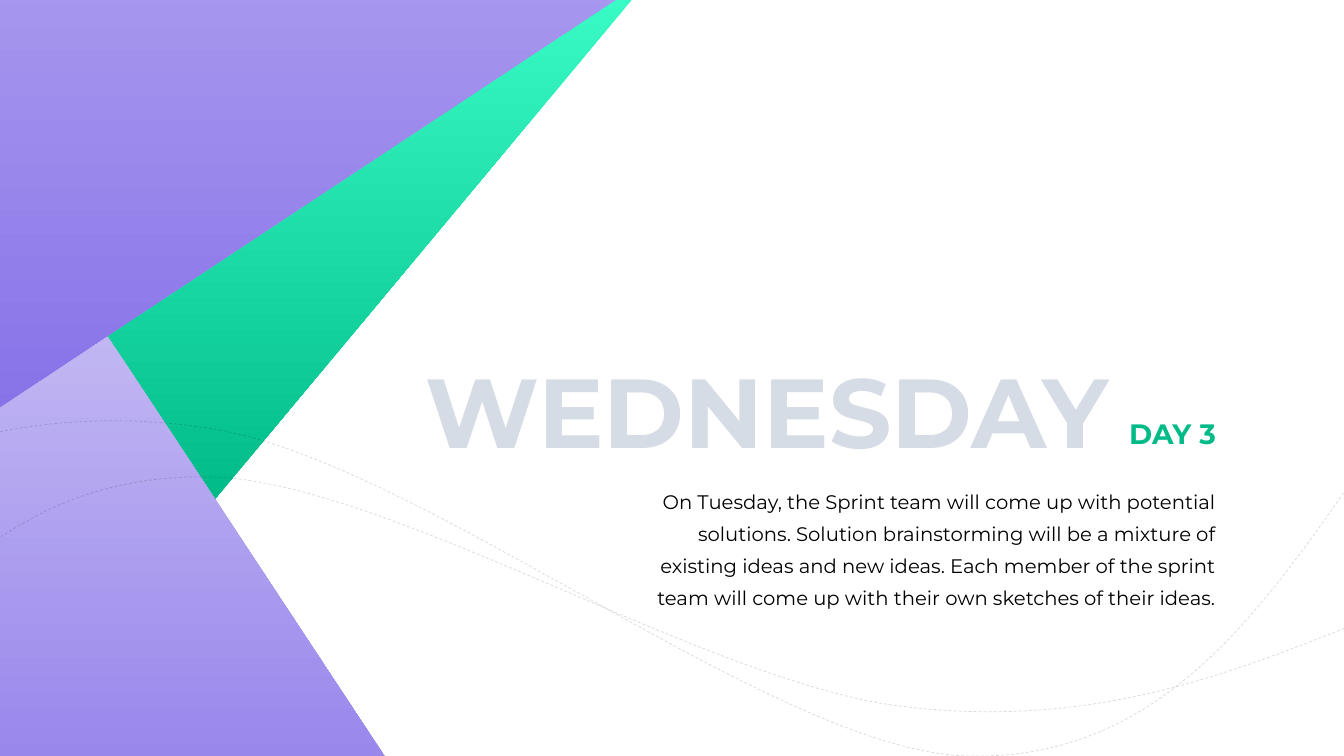
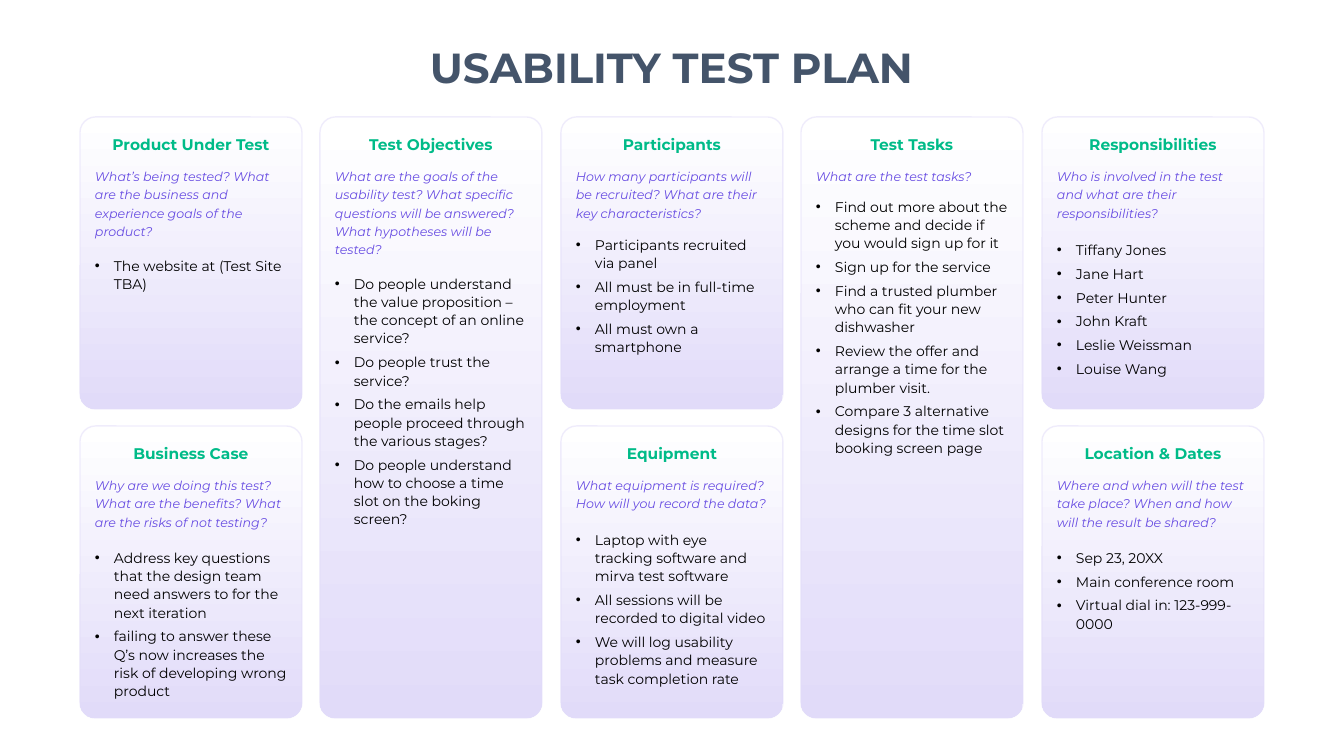
from lxml.etree import SubElement
from pptx import Presentation
from pptx.dml.color import RGBColor
from pptx.enum.dml import MSO_LINE_DASH_STYLE as Dash
from pptx.enum.shapes import MSO_SHAPE as Shape
from pptx.enum.text import MSO_ANCHOR as Anchor, MSO_AUTO_SIZE as AutoSize, PP_ALIGN as Align
from pptx.oxml.ns import qn
from pptx.util import Emu, Pt

SCALE = 914400 / 100.8
FONT = "Montserrat"
C = {
    "green": "00BB88", "mint": "3DFFCA", "purple": "674CE2", "lilac": "C2B7F3",
    "pale": "E1DBF9", "white": "FFFFFF", "black": "000000", "slate": "44546A",
    "mist": "D6DCE5",
}

COL_X, ROW_Y = 80, 117
CARD_W, CARD_H, ROW_PITCH = 222, 292, 309
TALL_H = CARD_H + ROW_PITCH

CARDS = [
    (0, 0, CARD_H, "Product Under Test",
     "What’s being tested? What are the business and experience goals of the product?",
     134, ["The website at (Test Site TBA)"]),
    (0, 1, CARD_H, "Business Case",
     "Why are we doing this test? What are the benefits? What are the risks of not testing?",
     117, ["Address key questions that the design team need answers to for the next iteration",
           "failing to answer these Q’s now increases the risk of developing wrong product"]),
    (1, 0, TALL_H, "Test Objectives",
     "What are the goals of the usability test? What specific questions will be answered? "
     "What hypotheses will be tested?",
     152, ["Do people understand the value proposition – the concept of an online service?",
           "Do people trust the service?",
           "Do the emails help people proceed through the various stages?",
           "Do people understand how to choose a time slot on the boking screen?"]),
    (2, 0, CARD_H, "Participants",
     "How many participants will be recruited? What are their key characteristics?",
     113, ["Participants recruited via panel", "All must be in full-time employment",
           "All must own a smartphone"]),
    (2, 1, CARD_H, "Equipment",
     "What equipment is required? How will you record the data?",
     99, ["Laptop with eye tracking software and mirva test software",
          "All sessions will be recorded to digital video",
          "We will log usability problems and measure task completion rate"]),
    (3, 0, TALL_H, "Test Tasks", "What are the test tasks?",
     75, ["Find out more about the scheme and decide if you would sign up for it",
          "Sign up for the service",
          "Find a trusted plumber who can fit your new dishwasher",
          "Review the offer and arrange a time for the plumber visit.",
          "Compare 3 alternative designs for the time slot booking screen page"]),
    (4, 0, CARD_H, "Responsibilities",
     "Who is involved in the test and what are their responsibilities?",
     118, ["Tiffany Jones", "Jane Hart", "Peter Hunter", "John Kraft",
           "Leslie Weissman", "Louise Wang"]),
    (4, 1, CARD_H, "Location & Dates",
     "Where and when will the test take place? When and how will the result be shared?",
     117, ["Sep 23, 20XX", "Main conference room", "Virtual dial in: 123-999-0000"]),
]

FACETS = [
    (Shape.RIGHT_TRIANGLE, (334, -107, 205, 681), 56.6, "mint", "green"),
    (Shape.RECTANGLE, (-329, 455, 663, 681), 56.6, "lilac", "purple"),
    (Shape.RIGHT_TRIANGLE, (-61, -844, 646, 2155), 73.2, "lilac", "purple"),
]

WAVES = [
    [(1363, 621), (1227, 675), (1091, 730), (899, 706), (707, 682), (386, 481),
     (211, 477), (35, 473), (-58, 577), (-152, 680)],
    [(-296, 550), (-147, 473), (2, 395), (213, 429), (423, 463), (774, 750),
     (966, 756), (1158, 762), (1260, 614), (1363, 465)],
]


def px(n):
    return Emu(round(n * SCALE))


def rgb(name):
    return RGBColor.from_string(C[name])


def gradient(fill, start, end, angle=270):
    fill.gradient()
    fill.gradient_angle = angle
    for stop, name, pos in zip(fill.gradient_stops, (start, end), (0, 1)):
        stop.color.rgb = rgb(name)
        stop.position = pos


def set_line(sp, name, width, opacity):
    sp.line.color.rgb = rgb(name)
    sp.line.width = Pt(width)
    color = sp.line._get_or_add_ln().find(".//" + qn("a:srgbClr"))
    SubElement(color, qn("a:alpha")).set("val", str(opacity * 1000))


def add_bullet(p, indent):
    pPr = p._p.get_or_add_pPr()
    pPr.set("marL", str(px(indent)))
    pPr.set("indent", str(-px(indent)))
    SubElement(pPr, qn("a:buFont")).set("typeface", "Arial")
    SubElement(pPr, qn("a:buChar")).set("char", "•")


def write(sp, paras, size, color, bold=False, italic=False, align=Align.LEFT,
          leading=None, after=0, bullet=0, inset=10, wrap=True, fade=None):
    tf = sp.text_frame
    tf.word_wrap = wrap
    tf.auto_size = AutoSize.NONE
    tf.vertical_anchor = Anchor.TOP
    tf.margin_left = tf.margin_right = px(inset)
    tf.margin_top = tf.margin_bottom = px(5)
    for i, text in enumerate(paras):
        p = tf.add_paragraph() if i else tf.paragraphs[0]
        p.alignment = align
        p.space_before = Pt(0)
        p.space_after = Pt(after)
        if leading:
            p.line_spacing = Pt(leading)
        if bullet:
            add_bullet(p, bullet)
        r = p.add_run()
        r.text = text
        f = r.font
        f.name, f.size, f.bold, f.italic = FONT, Pt(size), bold, italic
        if fade:
            gradient(f.fill, color, fade, 0)
        else:
            f.color.rgb = rgb(color)


def add_text(s, box, paras, size, color, **fmt):
    write(s.shapes.add_textbox(*map(px, box)), paras, size, color, **fmt)


def set_title(s, box, text, size, color, align):
    sp = s.shapes.title
    sp.left, sp.top, sp.width, sp.height = map(px, box)
    write(sp, [text], size, color, bold=True, align=align, wrap=False)


def add_facet(s, kind, box, rotation, start, end):
    sp = s.shapes.add_shape(kind, *map(px, box))
    sp.shadow.inherit = False
    sp.rotation = rotation
    gradient(sp.fill, start, end)
    sp._element.spPr.find(qn("a:gradFill")).set("rotWithShape", "0")
    sp.line.fill.background()


def add_wave(s, points):
    fb = s.shapes.build_freeform(*points[0], scale=SCALE)
    fb.add_line_segments(points[1:], close=False)
    sp = fb.convert_to_shape()
    sp.shadow.inherit = False
    sp.fill.background()
    set_line(sp, "black", 0.5, 15)
    sp.line.dash_style = Dash.DASH
    path = sp._element.spPr.find(".//" + qn("a:path"))
    path.set("fill", "none")
    segments = path.findall(qn("a:lnTo"))
    for i in range(0, len(segments), 3):
        curve = SubElement(path, qn("a:cubicBezTo"))
        for seg in segments[i:i + 3]:
            curve.append(seg[0])
            path.remove(seg)


def add_day(s, box, day, summary):
    x, y, w, h = box
    add_text(s, (x, y, w, 44), [day], 20, "green", bold=True, align=Align.RIGHT,
             after=6, fade="purple")
    add_text(s, (x, y + 65, w, h - 65), [summary], 14, "black", align=Align.RIGHT,
             leading=23)


def add_card(s, box, heading, question, list_top, items):
    x, y, w, h = box
    sp = s.shapes.add_shape(Shape.ROUNDED_RECTANGLE, *map(px, box))
    sp.shadow.inherit = False
    sp.adjustments[0] = 0.07
    gradient(sp.fill, "white", "pale")
    set_line(sp, "pale", 1, 50)
    add_text(s, (x, y + 13, w, 29), [heading], 11, "green", bold=True, align=Align.CENTER)
    add_text(s, (x, y + 44, w, list_top - 44), [question], 9, "purple", italic=True,
             leading=13, inset=15)
    add_text(s, (x, y + list_top, w, h - list_top), items, 10, "black",
             leading=13, after=4, bullet=19, inset=15)


def day_slide(prs):
    s = prs.slides.add_slide(prs.slide_layouts[5])
    set_title(s, (401, 346, 718, 129), "WEDNESDAY", 70, "mist", Align.RIGHT)
    add_day(s, (637, 411, 589, 202), "DAY 3",
            "On Tuesday, the Sprint team will come up with potential solutions. "
            "Solution brainstorming will be a mixture of existing ideas and new ideas. "
            "Each member of the sprint team will come up with their own sketches of "
            "their ideas.")
    for facet in FACETS:
        add_facet(s, *facet)
    for points in WAVES:
        add_wave(s, points)


def plan_slide(prs):
    s = prs.slides.add_slide(prs.slide_layouts[5])
    set_title(s, (417, 37, 509, 61), "USABILITY TEST PLAN", 30, "slate", Align.CENTER)
    for col, row, h, *content in CARDS:
        box = (COL_X + col * 481 // 2, ROW_Y + row * ROW_PITCH, CARD_W, h)
        add_card(s, box, *content)


def main():
    prs = Presentation()
    prs.slide_width, prs.slide_height = px(1344), px(756)
    day_slide(prs)
    plan_slide(prs)
    prs.save("out.pptx")


if __name__ == "__main__":
    main()
